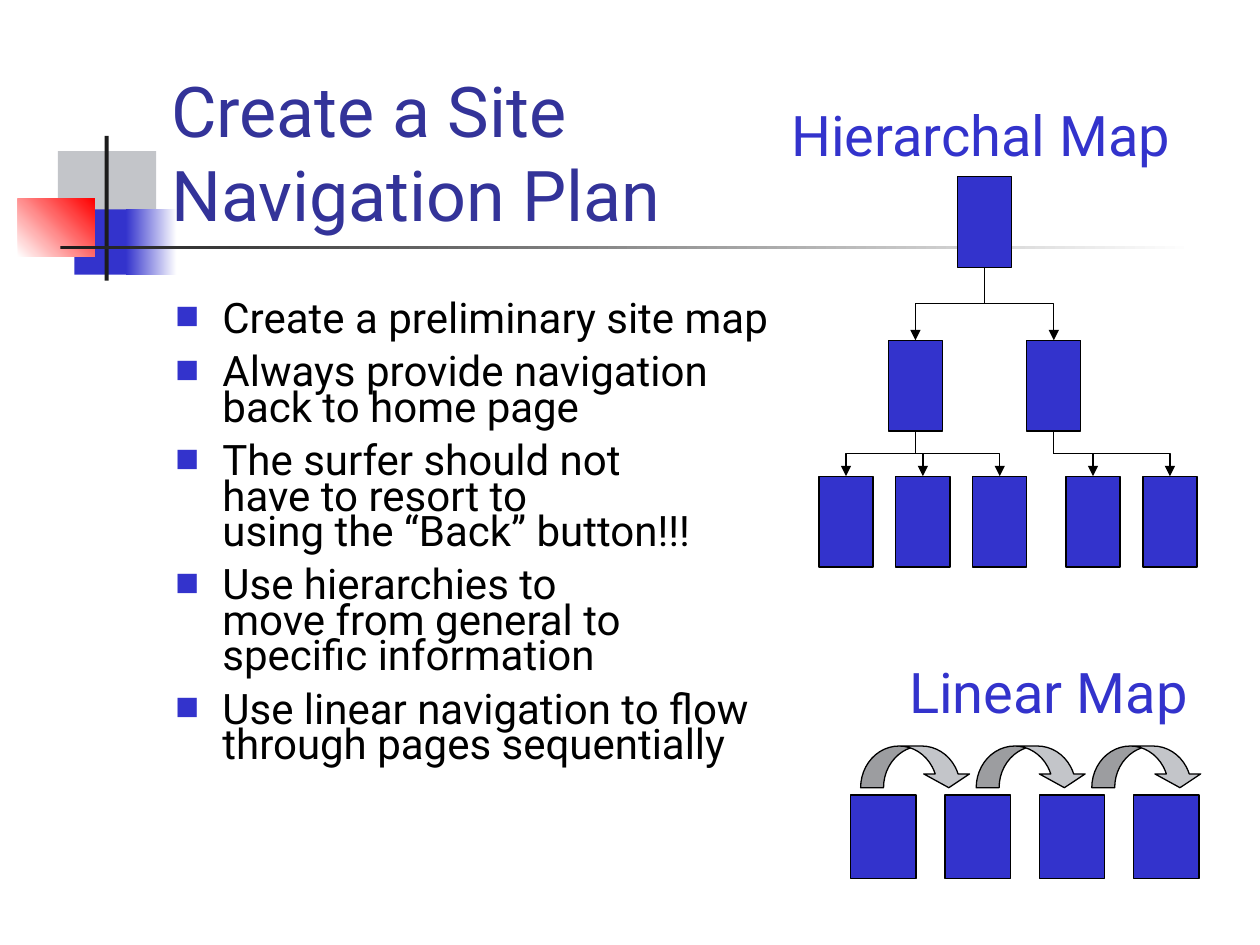
import copy

import pptx
import pptx.dml.color
import pptx.enum.dml
import pptx.enum.shapes
import pptx.enum.text
import pptx.oxml
import pptx.oxml.ns
import pptx.util
from pptx.util import Cm

FONT = "Roboto"
BLUE = "3333CC"
TITLE_BLUE = "333399"
GREY = "C3C5C9"
BLACK = "000000"
DARK = "1C1C1C"
WHITE = "FFFFFF"
RED = "FF0000"
PAGE_WIDTH, PAGE_HEIGHT = 1.09, 1.83

BULLETS = [
    "Create a preliminary site map",
    "Always provide navigation back to home page",
    "The surfer should not\nhave to resort to\nusing the “Back” button!!!",
    "Use hierarchies to\nmove from general to\nspecific information",
    "Use linear navigation to flow through pages sequentially",
]


def color(value):
    return pptx.dml.color.RGBColor.from_string(value)


def make_element(tag, **attributes):
    element = pptx.oxml.parse_xml(f"<{tag} {pptx.oxml.ns.nsdecls('a')}/>")
    for name, value in attributes.items():
        element.set(name, value)
    return element


def place(shape, left, top, width, height):
    shape.left, shape.top = Cm(left), Cm(top)
    shape.width, shape.height = Cm(width), Cm(height)


def write_text(paragraph, text, size, fill, before=0, after=0, spacing=1.0):
    paragraph.text = text
    paragraph.alignment = pptx.enum.text.PP_ALIGN.LEFT
    paragraph.line_spacing = spacing
    paragraph.space_before = pptx.util.Pt(before)
    paragraph.space_after = pptx.util.Pt(after)
    for run in paragraph.runs:
        run.font.name = FONT
        run.font.size = pptx.util.Pt(size)
        run.font.color.rgb = color(fill)
    run_format = paragraph.runs[0].font._element
    for line_break in paragraph._p.findall(pptx.oxml.ns.qn("a:br")):
        line_break.append(copy.deepcopy(run_format))


def add_bullet(paragraph):
    properties = paragraph._p.get_or_add_pPr()
    properties.set("marL", str(Cm(0.95)))
    properties.set("indent", str(-Cm(0.95)))
    bullet_color = make_element("a:buClr")
    bullet_color.append(make_element("a:srgbClr", val=BLUE))
    properties.append(bullet_color)
    properties.append(make_element("a:buSzPct", val="60000"))
    properties.append(make_element("a:buFont", typeface=FONT))
    properties.append(make_element("a:buChar", char="■"))


def add_box(slide, left, top, width, height, fill, outline=None,
            preset=pptx.enum.shapes.MSO_SHAPE.RECTANGLE):
    shape = slide.shapes.add_shape(
        preset, Cm(left), Cm(top), Cm(width), Cm(height))
    shape.shadow.inherit = False
    shape.fill.solid()
    shape.fill.fore_color.rgb = color(fill)
    if outline:
        shape.line.color.rgb = color(outline)
        shape.line.width = pptx.util.Pt(0.75)
    else:
        shape.line.fill.background()
    return shape


def add_gradient_box(slide, left, top, width, height, start, end, angle=0):
    shape = add_box(slide, left, top, width, height, start)
    shape.fill.gradient()
    shape.fill.gradient_angle = angle
    for stop, value in zip(shape.fill.gradient_stops, (start, end)):
        stop.color.rgb = color(value)


def add_link(slide, parent, child):
    begin_x, begin_y = parent.left + parent.width // 2, parent.top + parent.height
    end_x, end_y = child.left + child.width // 2, child.top
    connector = slide.shapes.add_connector(
        pptx.enum.shapes.MSO_CONNECTOR.ELBOW, 0, 0, 0, 0)
    connector.width, connector.height = end_y - begin_y, abs(end_x - begin_x)
    connector.left = (begin_x + end_x - connector.width) // 2
    connector.top = (begin_y + end_y - connector.height) // 2
    transform = connector._element.spPr.find(pptx.oxml.ns.qn("a:xfrm"))
    if end_x < begin_x:
        transform.set("rot", str(90 * 60000))
    else:
        transform.set("rot", str(270 * 60000))
        transform.set("flipH", "1")
    connector.line.color.rgb = color(BLACK)
    connector.line.width = pptx.util.Pt(0.75)
    connector.line._get_or_add_ln().append(
        make_element("a:tailEnd", type="triangle"))
    connector._element.spPr.append(make_element("a:effectLst"))


def add_heading(slide, text, left, top, width, height):
    shape = slide.shapes.add_textbox(Cm(left), Cm(top), Cm(width), Cm(height))
    shape.text_frame.word_wrap = True
    write_text(shape.text_frame.paragraphs[0], text, 32, BLUE, before=20)


def add_decoration(slide):
    add_box(slide, 1.17, 3.05, 1.22, 1.32, GREY)
    add_box(slide, 2.24, 3.05, 0.91, 1.32, GREY)
    add_box(slide, 1.5, 4.22, 1.17, 1.32, BLUE)
    add_gradient_box(slide, 2.54, 4.22, 1.02, 1.32, BLUE, WHITE)
    add_gradient_box(slide, 0.36, 4.01, 1.55, 1.17, WHITE, RED, angle=45)
    add_box(slide, 2.11, 2.74, 0.08, 2.92, DARK)
    add_gradient_box(slide, 1.22, 4.95, 22.86, 0.08, DARK, WHITE)


def fill_placeholders(slide):
    title, body = slide.placeholders
    for shape in (title, body):
        slide.shapes._spTree.append(shape._element)
        shape.text_frame.word_wrap = True
        shape.text_frame.auto_size = pptx.enum.text.MSO_AUTO_SIZE.NONE
    place(title, 3.2, 1.7, 21.64, 3.18)
    title.text_frame.vertical_anchor = pptx.enum.text.MSO_ANCHOR.BOTTOM
    write_text(title.text_frame.paragraphs[0],
               "Create a Site\nNavigation Plan", 40, TITLE_BLUE)
    place(body, 3.28, 6.02, 12.6, 12.17)
    body.text_frame.vertical_anchor = pptx.enum.text.MSO_ANCHOR.TOP
    for index, text in enumerate(BULLETS):
        frame = body.text_frame
        paragraph = frame.add_paragraph() if index else frame.paragraphs[0]
        write_text(paragraph, text, 24, BLACK, before=6, after=4.5, spacing=0.7)
        add_bullet(paragraph)


def add_page(slide, left, top):
    return add_box(slide, left, top, PAGE_WIDTH, PAGE_HEIGHT, BLUE, BLACK)


def add_hierarchy(slide):
    home = add_page(slide, 19.3, 3.56)
    for section_left, first_left, count in ((17.91, 16.51, 3), (20.7, 21.49, 2)):
        section = add_page(slide, section_left, 6.86)
        add_link(slide, home, section)
        for index in range(count):
            page = add_page(slide, first_left + 1.55 * index, 9.6)
            add_link(slide, section, page)
    add_heading(slide, "Hierarchal Map", 15.7, 1.9, 8.43, 2.97)


def add_sequence(slide):
    for index in range(4):
        add_box(slide, 17.15 + 1.9 * index, 16.03, 1.32, 1.68, BLUE, BLACK)
    for index in range(3):
        arrow = add_box(slide, 17.35 + 2.33 * index, 15.04, 2.24, 0.84, GREY, BLACK,
                        pptx.enum.shapes.MSO_SHAPE.CURVED_DOWN_ARROW)
        for position, value in enumerate((0.55, 1.1, 0.33)):
            arrow.adjustments[position] = value
    add_heading(slide, "Linear Map", 18.08, 13.13, 7.32, 1.63)


def main():
    presentation = pptx.Presentation()
    presentation.slide_width, presentation.slide_height = Cm(25.4), Cm(19.05)
    slide = presentation.slides.add_slide(presentation.slide_layouts[1])
    add_decoration(slide)
    fill_placeholders(slide)
    add_hierarchy(slide)
    add_sequence(slide)
    presentation.save("out.pptx")


if __name__ == "__main__":
    main()
